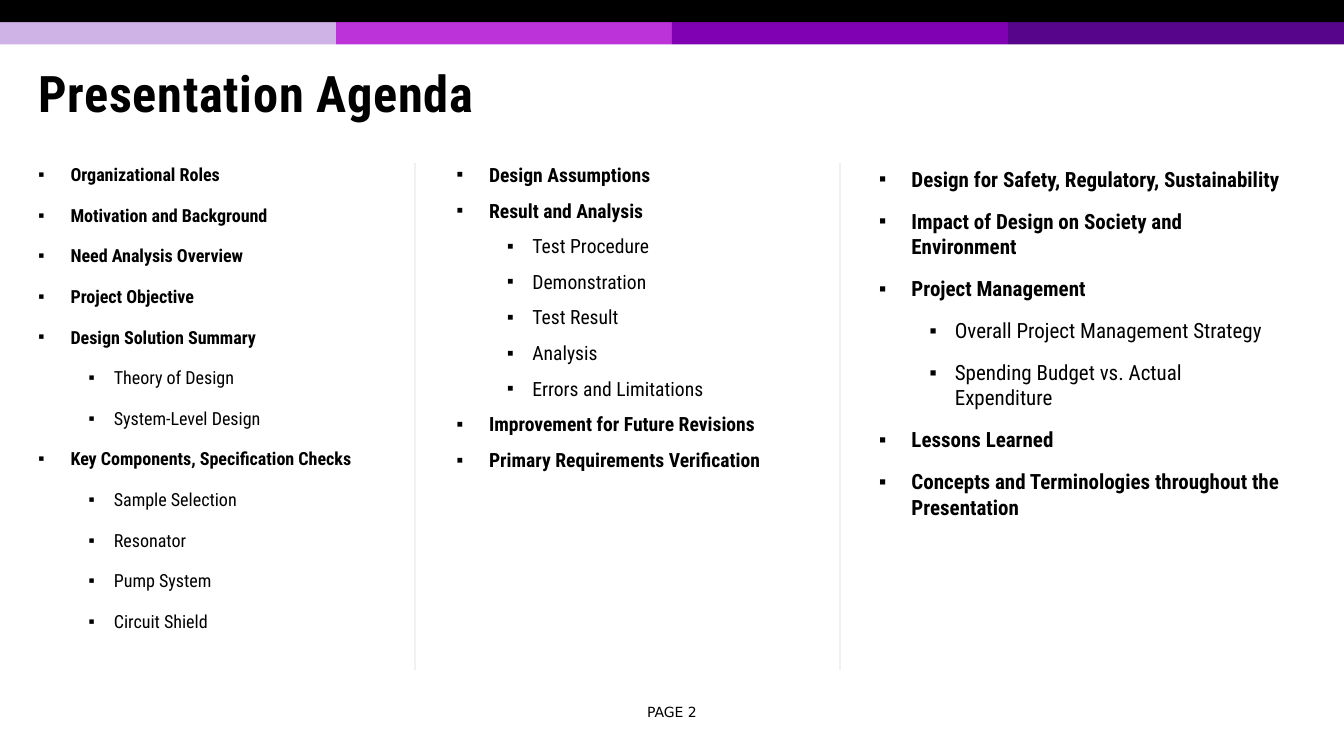
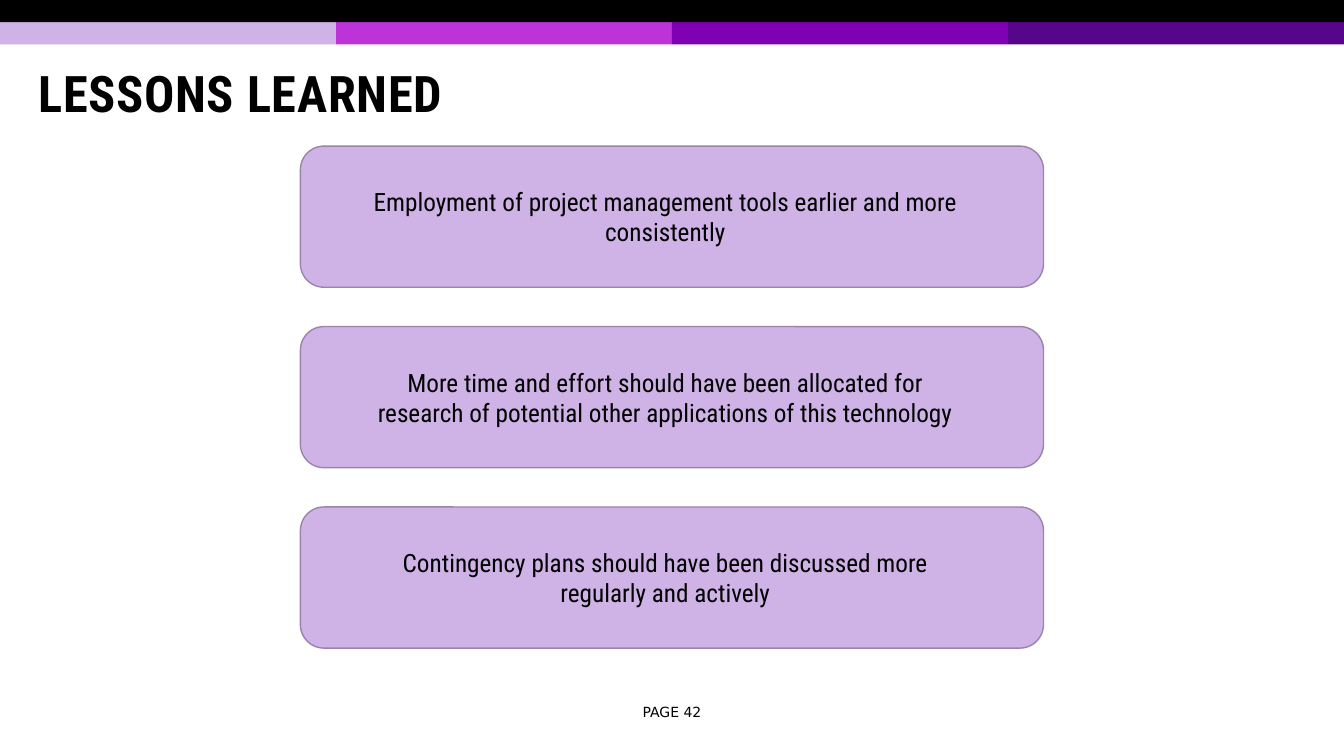
from dataclasses import dataclass

from lxml import etree
from pptx import Presentation
from pptx import util as u
from pptx.dml import color
from pptx.enum import shapes, text
from pptx.oxml import ns
from pptx.shapes.autoshape import Shape
from pptx.slide import Slide

SLIDE_WIDTH, SLIDE_HEIGHT = 13.33, 7.5
BAND_HEIGHT = 0.22
BAND_COLOURS = ("CFB3E6", "BD33DA", "8000B3", "57058A")
BLACK, DIVIDER_GREY = "000000", "F1F1F1"
CARD_FILL, CARD_OUTLINE = "CFB3E6", "9984AA"
MAIN_FONT, PAGE_FONT = "Roboto Condensed", "DejaVu Sans"


@dataclass(frozen=True)
class Box:
    left: float
    top: float
    width: float
    height: float

    def emu(self) -> tuple[u.Length, ...]:
        return tuple(u.Inches(v) for v in (self.left, self.top, self.width, self.height))


@dataclass(frozen=True)
class Topic:
    heading: str
    details: tuple[str, ...] = ()


@dataclass(frozen=True)
class AgendaColumn:
    box: Box
    size: float
    line_spacing: float
    topics: tuple[Topic, ...]


TITLE_BOX = Box(0.28, 0.47, 12.65, 0.98)
PAGE_BOX = Box(6.11, 6.93, 1.11, 0.27)
DIVIDERS = (4.12, 8.33)

AGENDA = (
    AgendaColumn(Box(0.28, 1.55, 3.59, 5.03), 12.9, 1.1, (
        Topic("Organizational Roles"),
        Topic("Motivation and Background"),
        Topic("Need Analysis Overview"),
        Topic("Project Objective"),
        Topic("Design Solution Summary", ("Theory of Design", "System-Level Design")),
        Topic("Key Components, Specification Checks",
              ("Sample Selection", "Resonator", "Pump System", "Circuit Shield")),
    )),
    AgendaColumn(Box(4.43, 1.61, 3.65, 3.03), 14, 0.8, (
        Topic("Design Assumptions"),
        Topic("Result and Analysis",
              ("Test Procedure", "Demonstration", "Test Result", "Analysis",
               "Errors and Limitations")),
        Topic("Improvement for Future Revisions"),
        Topic("Primary Requirements Verification"),
    )),
    AgendaColumn(Box(8.62, 1.6, 4.23, 3.6), 15, 1.0, (
        Topic("Design for Safety, Regulatory, Sustainability"),
        Topic("Impact of Design on Society and Environment"),
        Topic("Project Management",
              ("Overall Project Management Strategy",
               "Spending Budget vs. Actual\vExpenditure")),
        Topic("Lessons Learned"),
        Topic("Concepts and Terminologies throughout the Presentation"),
    )),
)

LESSONS = (
    "Employment of project management tools earlier and more consistently",
    "More time and effort should have been allocated for research of potential "
    "other applications of this technology",
    "Contingency plans should have been discussed more regularly and actively",
)
FIRST_CARD = Box(2.98, 1.45, 7.37, 1.4)
CARD_PITCH = 1.79


def rgb(hex_colour: str) -> color.RGBColor:
    return color.RGBColor.from_string(hex_colour)


def place(shape: Shape, box: Box) -> None:
    shape.left, shape.top, shape.width, shape.height = box.emu()


def style_runs(paragraph, size: float, bold: bool = False, font: str = MAIN_FONT) -> None:
    for run in paragraph.runs:
        run.font.name = font
        run.font.size = u.Pt(size)
        run.font.bold = bold
        run.font.color.rgb = rgb(BLACK)


def add_block(slide: Slide, box: Box, fill: str, outline: str | None = None,
              preset=shapes.MSO_SHAPE.RECTANGLE) -> Shape:
    block = slide.shapes.add_shape(preset, *box.emu())
    block.shadow.inherit = False
    block.fill.solid()
    block.fill.fore_color.rgb = rgb(fill)
    if outline:
        block.line.color.rgb = rgb(outline)
        block.line.width = u.Pt(1)
    else:
        block.line.fill.background()
    return block


def add_bands(slide: Slide) -> None:
    width = SLIDE_WIDTH / len(BAND_COLOURS)
    for i, fill in enumerate(BAND_COLOURS):
        add_block(slide, Box(i * width, BAND_HEIGHT, width, BAND_HEIGHT), fill)
    add_block(slide, Box(0, 0, SLIDE_WIDTH, BAND_HEIGHT), BLACK)


def set_title(slide: Slide, wording: str) -> None:
    title = slide.shapes.title
    place(title, TITLE_BOX)
    frame = title.text_frame
    frame.text = wording
    frame.vertical_anchor = text.MSO_ANCHOR.MIDDLE
    frame.auto_size = text.MSO_AUTO_SIZE.NONE
    heading = frame.paragraphs[0]
    heading.alignment = text.PP_ALIGN.LEFT
    heading.line_spacing = 0.85
    style_runs(heading, 36, bold=True)
    for run in heading.runs:
        run._r.get_or_add_rPr().set("spc", "50")


def add_page_number(slide: Slide, number: int) -> None:
    footer = slide.shapes.add_textbox(*PAGE_BOX.emu())
    frame = footer.text_frame
    frame.text = f"PAGE {number}"
    frame.word_wrap = True
    frame.vertical_anchor = text.MSO_ANCHOR.MIDDLE
    frame.paragraphs[0].alignment = text.PP_ALIGN.CENTER
    style_runs(frame.paragraphs[0], 10, font=PAGE_FONT)


def start_slide(prs, layout: int, title: str, page: int) -> Slide:
    """Add a slide with everything the slides share."""
    slide = prs.slides.add_slide(prs.slide_layouts[layout])
    add_bands(slide)
    set_title(slide, title)
    add_page_number(slide, page)
    return slide


def add_bullet(paragraph, margin: float, hanging: float) -> None:
    props = paragraph._p.get_or_add_pPr()
    props.set("marL", str(u.Inches(margin)))
    props.set("indent", str(-u.Inches(hanging)))
    bullet_colour = etree.SubElement(props, ns.qn("a:buClr"))
    etree.SubElement(bullet_colour, ns.qn("a:srgbClr"), val=BLACK)
    etree.SubElement(props, ns.qn("a:buSzPct"), val="85000")
    etree.SubElement(props, ns.qn("a:buFont"), typeface=MAIN_FONT)
    etree.SubElement(props, ns.qn("a:buChar"), char="▪")


def fill_column(body: Shape, column: AgendaColumn) -> None:
    place(body, column.box)
    frame = body.text_frame
    frame.word_wrap = True
    frame.auto_size = text.MSO_AUTO_SIZE.NONE
    frame.vertical_anchor = text.MSO_ANCHOR.TOP
    entries = [(level, wording) for topic in column.topics
               for level, wording in ((0, topic.heading), *((1, d) for d in topic.details))]
    for i, (level, wording) in enumerate(entries):
        entry = frame.add_paragraph() if i else frame.paragraphs[0]
        entry.text = wording
        entry.level = level
        add_bullet(entry, *((0.75, 0.25) if level else (0.32, 0.32)))
        entry.alignment = text.PP_ALIGN.LEFT
        entry.line_spacing = column.line_spacing
        entry.space_before = u.Pt(6 if i else 0)
        entry.space_after = u.Pt(6)
        style_runs(entry, column.size, bold=level == 0)


def add_divider(slide: Slide, x: float) -> None:
    divider = slide.shapes.add_connector(
        shapes.MSO_CONNECTOR.STRAIGHT,
        u.Inches(x), u.Inches(1.62), u.Inches(x), u.Inches(6.65))
    divider.line.color.rgb = rgb(DIVIDER_GREY)
    divider.line.width = u.Pt(1.5)
    etree.SubElement(divider.element.spPr, ns.qn("a:effectLst"))


def build_agenda(prs) -> None:
    slide = start_slide(prs, 4, "Presentation Agenda", 2)
    bodies = [p for p in slide.placeholders if p.placeholder_format.idx != 0]
    for body, column in zip(bodies, AGENDA):
        fill_column(body, column)
    for unused in bodies[len(AGENDA):]:
        unused.element.getparent().remove(unused.element)
    for x in DIVIDERS:
        add_divider(slide, x)


def add_lesson(slide: Slide, position: int, wording: str) -> None:
    box = Box(FIRST_CARD.left, FIRST_CARD.top + position * CARD_PITCH,
              FIRST_CARD.width, FIRST_CARD.height)
    card = add_block(slide, box, CARD_FILL, CARD_OUTLINE,
                     shapes.MSO_SHAPE.ROUNDED_RECTANGLE)
    frame = card.text_frame
    frame.text = wording
    frame.word_wrap = True
    frame.vertical_anchor = text.MSO_ANCHOR.MIDDLE
    frame.margin_left, frame.margin_right = u.Inches(0.56), u.Inches(0.69)
    frame.paragraphs[0].alignment = text.PP_ALIGN.CENTER
    style_runs(frame.paragraphs[0], 18)


def build_lessons(prs) -> None:
    slide = start_slide(prs, 5, "LESSONS LEARNED", 42)
    for position, wording in enumerate(LESSONS):
        add_lesson(slide, position, wording)


def main() -> None:
    prs = Presentation()
    prs.slide_width, prs.slide_height = u.Inches(SLIDE_WIDTH), u.Inches(SLIDE_HEIGHT)
    build_agenda(prs)
    build_lessons(prs)
    prs.save("out.pptx")


if __name__ == "__main__":
    main()
